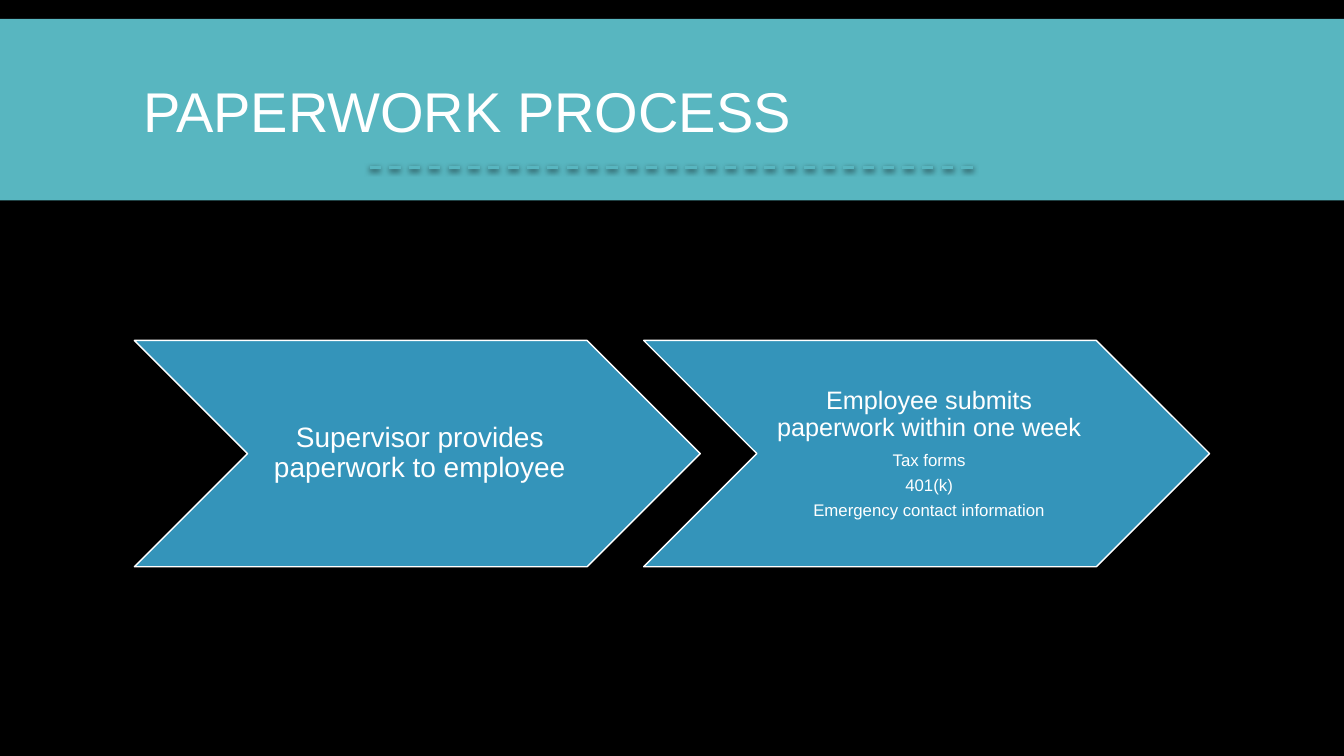
from dataclasses import dataclass
from lxml.etree import SubElement
from pptx import Presentation
from pptx.dml.color import RGBColor as RGB
from pptx.enum.dml import MSO_LINE
from pptx.enum.shapes import MSO_CONNECTOR, MSO_SHAPE
from pptx.enum.text import MSO_ANCHOR, PP_ALIGN
from pptx.oxml.ns import qn
from pptx.util import Inches, Pt


@dataclass(frozen=True)
class Theme:
    """Colours, font and type sizes of the slide."""
    ground: RGB = RGB(0, 0, 0)
    band: RGB = RGB(0x58, 0xB6, 0xC0)
    step: RGB = RGB(0x34, 0x94, 0xBA)
    ink: RGB = RGB(255, 255, 255)
    font: str = "Arial"
    title: int = 40
    first_step: int = 20
    second_step: int = 18
    detail: int = 12


THEME = Theme()
STEPS = [
    [("Supervisor provides paperwork to employee", THEME.first_step)],
    [("Employee submits paperwork within one week", THEME.second_step),
     ("Tax forms", THEME.detail),
     ("401(k)", THEME.detail),
     ("Emergency contact information", THEME.detail)],
]


def add_text(paragraph, words, size, line_spacing):
    """Add one run in the theme's font and ink."""
    paragraph.line_spacing = line_spacing
    run = paragraph.add_run()
    run.text = words
    run.font.name, run.font.size = THEME.font, Pt(size)
    run.font.color.rgb = THEME.ink


def add_soft_shadow(connector):
    """Cast a blurred black shadow straight down from a line."""
    effects = SubElement(connector._element.spPr, qn("a:effectLst"))
    shadow = SubElement(effects, qn("a:outerShdw"), blurRad=str(Pt(4)),
                        dist=str(Pt(1.2)), dir="5400000", rotWithShape="0")
    black = SubElement(shadow, qn("a:srgbClr"), val=str(THEME.ground))
    SubElement(black, qn("a:alpha"), val="68000")


def add_header(slide, left, top, width, height):
    """Draw the band with its dashed rule and set the title over it."""
    band = slide.shapes.add_shape(MSO_SHAPE.RECTANGLE, left, top, width, height)
    band.shadow.inherit = False
    band.fill.solid()
    band.fill.fore_color.rgb = THEME.band
    band.line.fill.background()

    rule_y = top + int(height * 0.82)
    rule = slide.shapes.add_connector(
        MSO_CONNECTOR.STRAIGHT, left + int(width * 0.275), rule_y,
        left + int(width * 0.725), rule_y)
    rule.line.color.rgb, rule.line.width = THEME.band, Pt(2)
    rule.line.dash_style = MSO_LINE.DASH
    add_soft_shadow(rule)

    title = slide.shapes.title
    slide.shapes._spTree.append(title._element)  # bring in front of the band
    title.left, title.top = left + int(width * 0.099), top + int(height * 0.07)
    title.width, title.height = int(width * 0.8), int(height * 0.92)
    title.text_frame.vertical_anchor = MSO_ANCHOR.MIDDLE
    heading = title.text_frame.paragraphs[0]
    heading.alignment = PP_ALIGN.LEFT
    add_text(heading, "PAPERWORK PROCESS", THEME.title, 0.85)


def add_step(slide, left, top, width, height, lines):
    """Draw one chevron holding its centred lines of text."""
    chevron = slide.shapes.add_shape(MSO_SHAPE.CHEVRON, left, top, width, height)
    chevron.shadow.inherit = False
    chevron.fill.solid()
    chevron.fill.fore_color.rgb = THEME.step
    chevron.line.color.rgb, chevron.line.width = THEME.ink, Pt(1)

    frame = chevron.text_frame
    frame.word_wrap = True
    frame.vertical_anchor = MSO_ANCHOR.MIDDLE
    frame.margin_left = Inches(0.08)
    frame.margin_top = frame.margin_right = frame.margin_bottom = Inches(0.03)
    for index, (words, size) in enumerate(lines):
        paragraph = frame.add_paragraph() if index else frame.paragraphs[0]
        paragraph.alignment = PP_ALIGN.CENTER
        paragraph.space_after = Pt(size * 0.4)
        add_text(paragraph, words, size, 0.9)


def add_process(slide, left, top, width, height, steps):
    """Centre a row of chevrons in the box, each starting at 90% of the last."""
    step_width = width / (1 + 0.9 * (len(steps) - 1))
    step_height = step_width * 0.4
    step_top = top + (height - step_height) / 2
    for index, lines in enumerate(steps):
        add_step(slide, int(left + index * step_width * 0.9), int(step_top),
                 int(step_width), int(step_height), lines)


def main():
    """Build and save the slide."""
    deck = Presentation()
    deck.slide_width, deck.slide_height = Inches(13.33), Inches(7.5)
    wide, high = deck.slide_width, deck.slide_height
    slide = deck.slides.add_slide(deck.slide_layouts[5])
    slide.background.fill.solid()
    slide.background.fill.fore_color.rgb = THEME.ground
    add_header(slide, 0, int(high * 0.025), wide, int(high * 0.24))
    add_process(slide, int(wide * 0.1), int(high * 0.3), int(wide * 0.8),
                int(high * 0.6), STEPS)
    deck.save("out.pptx")


main()
